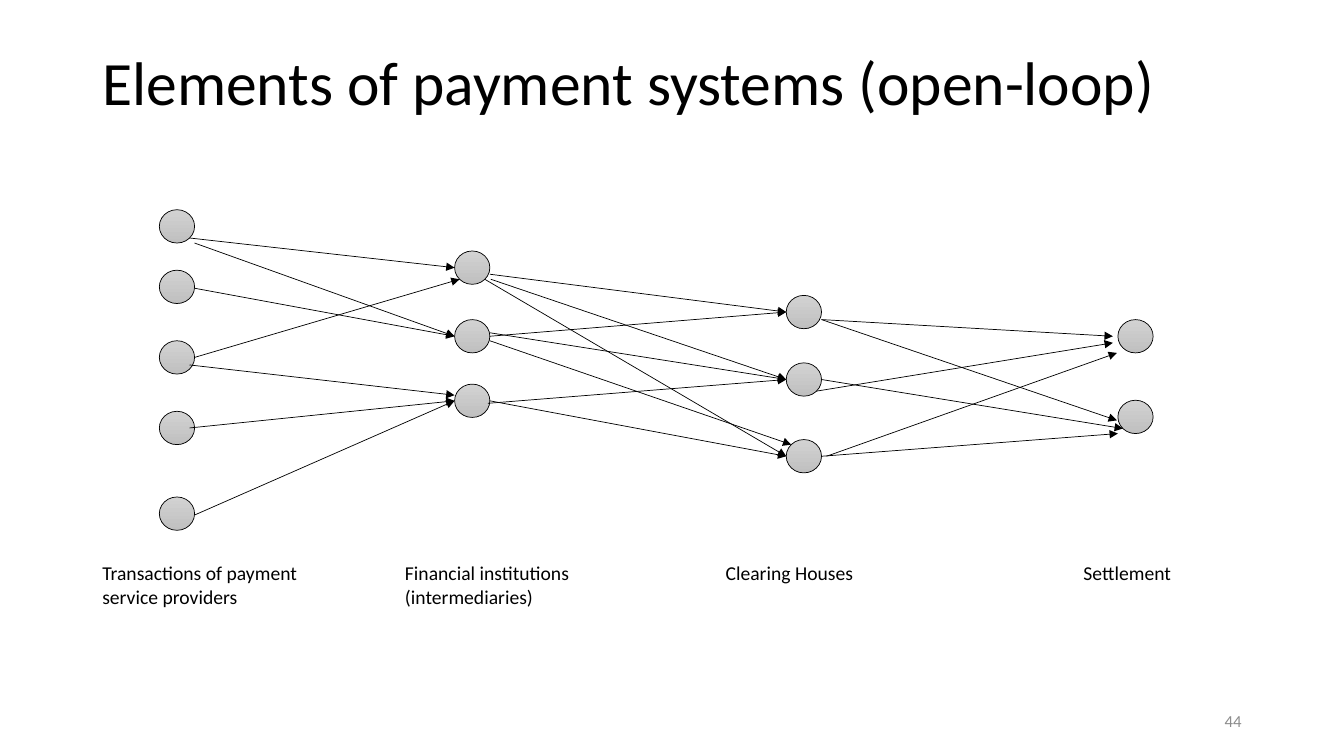
from collections import namedtuple

from lxml import etree
from pptx import Presentation
from pptx.dml.color import RGBColor
from pptx.enum.shapes import MSO_CONNECTOR, MSO_SHAPE
from pptx.enum.text import MSO_ANCHOR, PP_ALIGN
from pptx.oxml.ns import qn
from pptx.util import Pt

STRAIGHT = MSO_CONNECTOR.STRAIGHT
OVAL = MSO_SHAPE.OVAL
TOP, MIDDLE = MSO_ANCHOR.TOP, MSO_ANCHOR.MIDDLE
LEFT, RIGHT = PP_ALIGN.LEFT, PP_ALIGN.RIGHT

BLACK = RGBColor(0x00, 0x00, 0x00)
NUMBER_GRAY = RGBColor(0x8C, 0x8C, 0x8C)
NODE_LIGHT = RGBColor(0xD2, 0xD2, 0xD2)
NODE_DARK = RGBColor(0xC0, 0xC0, 0xC0)
FONT = "Calibri"
LINE_WIDTH = 0.5
NODE_WIDTH, NODE_HEIGHT = 25.2, 23.8
LABEL_TOP = 247.6

Box = namedtuple("Box", "left top width height")
Stage = namedtuple("Stage", "node_left node_tops label_left label_width label_height label")

# Positions in points, relative to the diagram box
STAGES = [
    Stage(47.8, [0, 43.2, 93.6, 144, 205.2], 0, 177.8, 41,
          ["Transactions of payment service providers"]),
    Stage(258.7, [29.5, 78.5, 124.6], 216.2, 135.4, 41,
          ["Financial institutions", "(intermediaries)"]),
    Stage(495.6, [61.2, 109.4, 164.2], 445.2, 143.3, 24.5, ["Clearing Houses"]),
    Stage(732.5, [78.5, 136.1], 700.8, 116.6, 46, ["Settlement"]),
]

# Per pair of stages: source node, offset from its right middle,
# target node, offset from its left middle
FLOWS = [
    [
        (0, (-3.6, 8.3), 0, (0, 0)),
        (0, (0, 11.9), 1, (0, 0)),
        (1, (0, 1), 1, (0, 0)),
        (2, (-3.6, 5.4), 2, (0, -4)),
        (2, (0, 0), 0, (3.6, 8.3)),
        (3, (-3.6, 0), 2, (0, 0)),
        (4, (0, 1), 2, (0, 0)),
    ],
    [
        (0, (0, 4.7), 0, (0, 0)),
        (0, (0.7, 8.3), 1, (0, 0)),
        (1, (0, 3.2), 2, (3.6, -8.3)),
        (0, (-3.6, 8.3), 2, (0, 0)),
        (1, (0, -2.5), 1, (0, 0)),
        (1, (0, 0), 0, (0, 0)),
        (2, (0, 0), 2, (0, 0)),
        (2, (-1.4, 1.8), 1, (0, 0)),
    ],
    [
        (0, (0, 5.4), 1, (-0.7, 2.5)),
        (1, (0, 0), 1, (3.6, 8.3)),
        (0, (0, 5.4), 0, (-3.6, 0)),
        (2, (0, 0), 1, (0, 11.9)),
        (1, (-3.6, 8.3), 0, (-3.6, 4.7)),
        (2, (3.6, 0), 0, (-0.7, 11.9)),
    ],
]


def add_text(page, box, lines, size, color=BLACK, anchor=TOP, align=LEFT, spacing=1.0):
    shape = page.shapes.add_textbox(*(Pt(length) for length in box))
    frame = shape.text_frame
    frame.word_wrap = True
    frame.vertical_anchor = anchor
    frame.text = "\n".join(lines)
    for para in frame.paragraphs:
        para.alignment = align
        para.line_spacing = spacing
        para.font.name = FONT
        para.font.size = Pt(size)
        para.font.color.rgb = color


def add_node(page, left, top):
    node = page.shapes.add_shape(OVAL, Pt(left), Pt(top), Pt(NODE_WIDTH), Pt(NODE_HEIGHT))
    node.shadow.inherit = False
    node.fill.gradient()
    node.fill.gradient_angle = 270
    for stop, color in zip(node.fill.gradient_stops, (NODE_LIGHT, NODE_DARK)):
        stop.color.rgb = color
    node.line.color.rgb = BLACK
    node.line.width = Pt(LINE_WIDTH)


def add_arrow(page, start, end):
    arrow = page.shapes.add_connector(STRAIGHT, *(Pt(value) for value in start + end))
    arrow.line.color.rgb = BLACK
    arrow.line.width = Pt(LINE_WIDTH)
    etree.SubElement(arrow.line._get_or_add_ln(), qn("a:tailEnd"), type="triangle")
    etree.SubElement(arrow._element.spPr, qn("a:effectLst"))


def add_stage(page, box, stage):
    for top in stage.node_tops:
        add_node(page, box.left + stage.node_left, box.top + top)
    label_box = Box(box.left + stage.label_left, box.top + LABEL_TOP,
                    stage.label_width, stage.label_height)
    add_text(page, label_box, stage.label, 14)


def add_flows(page, box, source, target, flows):
    right = box.left + source.node_left + NODE_WIDTH
    left = box.left + target.node_left
    middle = box.top + NODE_HEIGHT / 2
    for source_row, (exit_x, exit_y), target_row, (entry_x, entry_y) in flows:
        start = (right + exit_x, middle + source.node_tops[source_row] + exit_y)
        end = (left + entry_x, middle + target.node_tops[target_row] + entry_y)
        add_arrow(page, start, end)


def add_diagram(page, box):
    for stage in STAGES:
        add_stage(page, box, stage)
    for source, target, flows in zip(STAGES, STAGES[1:], FLOWS):
        add_flows(page, box, source, target, flows)


def main():
    deck = Presentation()
    deck.slide_width, deck.slide_height = Pt(960), Pt(540)
    page = deck.slides.add_slide(deck.slide_layouts[6])

    # Title
    add_text(page, Box(66, 28.8, 828, 64), ["Elements of payment systems (open-loop)"],
             44, anchor=MIDDLE, spacing=0.9)
    # Payment flow from transactions to settlement
    add_diagram(page, Box(66, 149.8, 828, 294))
    # Page number
    add_text(page, Box(678, 500.5, 216, 28.8), ["44"], 12, NUMBER_GRAY, MIDDLE, RIGHT)

    deck.save("out.pptx")


if __name__ == "__main__":
    main()
